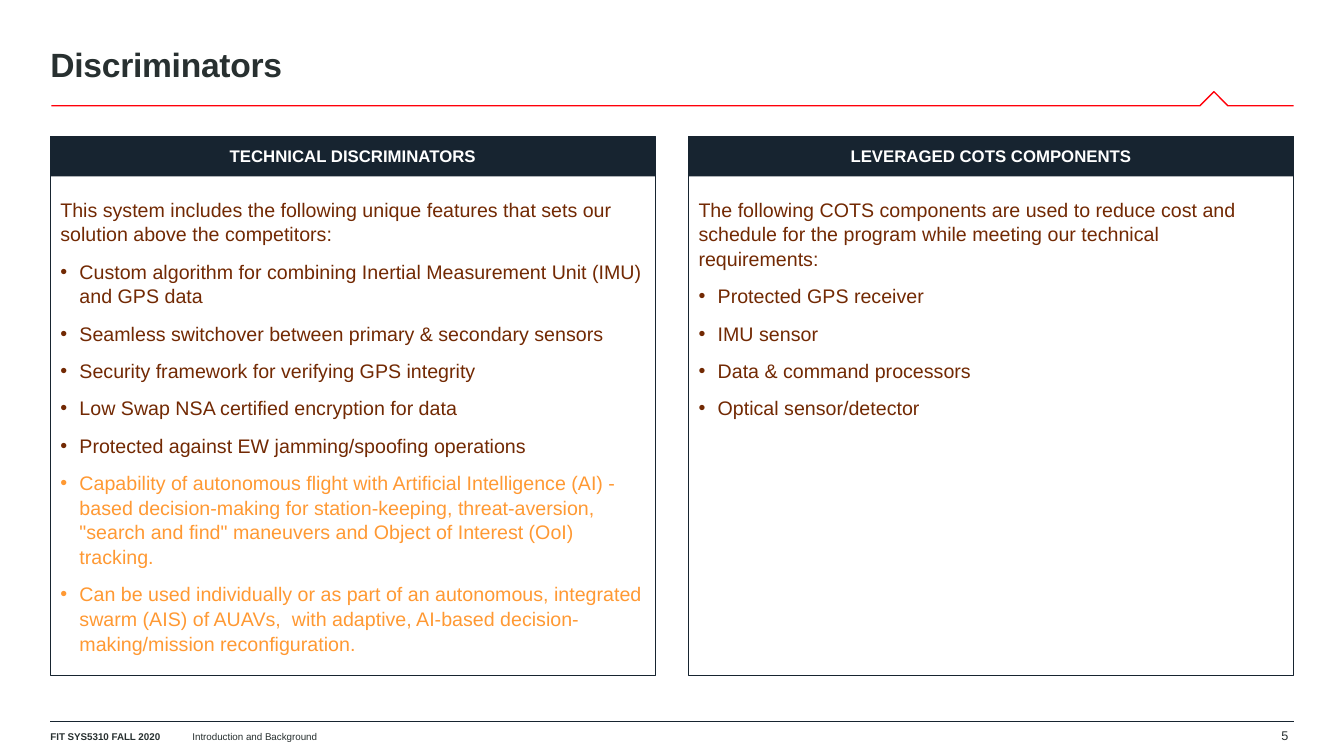
"""Build the Discriminators slide with two headed panels."""
from dataclasses import dataclass

from lxml import etree
from pptx import Presentation
from pptx.dml.color import RGBColor
from pptx.enum.shapes import MSO_CONNECTOR, MSO_SHAPE
from pptx.enum.text import MSO_ANCHOR, PP_ALIGN
from pptx.oxml.ns import qn
from pptx.util import Inches, Pt

NAVY = RGBColor(0x17, 0x24, 0x30)
CHARCOAL = RGBColor(0x28, 0x30, 0x30)
RED = RGBColor(0xFF, 0x00, 0x0A)
BROWN = RGBColor(0x72, 0x29, 0x03)
ORANGE = RGBColor(0xFF, 0x99, 0x33)
WHITE = RGBColor(0xFF, 0xFF, 0xFF)

RECTANGLE = MSO_SHAPE.RECTANGLE
STRAIGHT = MSO_CONNECTOR.STRAIGHT
TOP, MIDDLE = MSO_ANCHOR.TOP, MSO_ANCHOR.MIDDLE
LEFT, CENTER = PP_ALIGN.LEFT, PP_ALIGN.CENTER

FONT = "Arial"
MARGIN, RIGHT_EDGE = 0.5, 12.83
PANEL_TOP, PANEL_WIDTH, PANEL_HEIGHT, HEADER_HEIGHT = 1.35, 6, 5.35, 0.4
RULE_POINTS = [(12.83, 1.05), (12.18, 1.05), (12.04, 0.91), (11.9, 1.05), (0.51, 1.05)]


@dataclass(frozen=True)
class Panel:
    left: float
    heading: str
    intro: str
    bullets: tuple[str, ...]
    highlights: tuple[str, ...] = ()


@dataclass(frozen=True)
class Label:
    text: str
    left: float
    top: float
    width: float
    height: float
    size: float
    bold: bool = False
    insets: tuple[float, float] = (0.1, 0.05)
    anchor: MSO_ANCHOR = MIDDLE


PANELS = (
    Panel(
        MARGIN,
        "TECHNICAL DISCRIMINATORS",
        "This system includes the following unique features that sets our solution above the competitors:",
        (
            "Custom algorithm for combining Inertial Measurement Unit (IMU) and GPS data",
            "Seamless switchover between primary & secondary sensors",
            "Security framework for verifying GPS integrity",
            "Low Swap NSA certified encryption for data",
            "Protected against EW jamming/spoofing operations",
        ),
        (
            "Capability of autonomous flight with Artificial Intelligence (AI) - based decision-making "
            "for station-keeping, threat-aversion, \"search and find\" maneuvers and Object of Interest "
            "(OoI) tracking.",
            "Can be used individually or as part of an autonomous, integrated swarm (AIS) of AUAVs,  with "
            "adaptive, AI-based decision-making/mission reconfiguration.",
        ),
    ),
    Panel(
        RIGHT_EDGE - PANEL_WIDTH,
        "LEVERAGED COTS COMPONENTS",
        "The following COTS components are used to reduce cost and schedule for the program while "
        "meeting our technical requirements:",
        (
            "Protected GPS receiver",
            "IMU sensor",
            "Data & command processors",
            "Optical sensor/detector",
        ),
    ),
)

LABELS = (
    Label("FIT SYS5310 FALL 2020", MARGIN, 7.25, 1.25, 0.15, 7, True, (0, 0), TOP),
    Label("5", 12.61, 7.15, 0.33, 0.29, 9),
    Label("Introduction and Background", 1.81, 7.2, 4.09, 0.22, 7),
)


def format_paragraph(paragraph, size: float, color: RGBColor, bold: bool = False, alignment=LEFT) -> None:
    """Apply alignment and the font to every run of a paragraph."""
    paragraph.alignment = alignment
    for run in paragraph.runs:
        run.font.name = FONT
        run.font.size = Pt(size)
        run.font.bold = bold
        run.font.color.rgb = color


def set_frame(text_frame, horizontal: float, top: float, bottom: float, anchor) -> None:
    """Set wrapping, insets and vertical anchor of a text frame."""
    text_frame.word_wrap = True
    text_frame.margin_left = text_frame.margin_right = Inches(horizontal)
    text_frame.margin_top, text_frame.margin_bottom = Inches(top), Inches(bottom)
    text_frame.vertical_anchor = anchor


def add_bullet(paragraph) -> None:
    """Give a paragraph a hanging round bullet."""
    properties = paragraph._p.get_or_add_pPr()
    properties.set("marL", str(Inches(0.19)))
    properties.set("indent", str(Inches(-0.19)))
    etree.SubElement(properties, qn("a:buFont")).set("typeface", FONT)
    etree.SubElement(properties, qn("a:buChar")).set("char", "•")


def add_rectangle(slide, left: float, height: float):
    """Add a plain rectangle at the top of a panel."""
    shape = slide.shapes.add_shape(
        RECTANGLE, Inches(left), Inches(PANEL_TOP), Inches(PANEL_WIDTH), Inches(height))
    shape.shadow.inherit = False
    return shape


def add_panel(slide, panel: Panel) -> None:
    """Add an outlined panel with its text and heading bar."""
    body = add_rectangle(slide, panel.left, PANEL_HEIGHT)
    body.fill.background()
    body.line.color.rgb = NAVY
    body.line.width = Pt(0.25)
    text_frame = body.text_frame
    set_frame(text_frame, 0.1, 0.6, 0.3, TOP)
    text_frame.text = "\n".join((panel.intro, *panel.bullets, *panel.highlights))
    for index, paragraph in enumerate(text_frame.paragraphs):
        color = ORANGE if index > len(panel.bullets) else BROWN
        format_paragraph(paragraph, 14, color)
        paragraph.space_before = Pt(9)
        paragraph.line_spacing = 1.05
        if index:
            add_bullet(paragraph)

    header = add_rectangle(slide, panel.left, HEADER_HEIGHT)
    header.fill.solid()
    header.fill.fore_color.rgb = NAVY
    header.line.fill.background()
    set_frame(header.text_frame, 0.1, 0.1, 0.1, MIDDLE)
    header.text_frame.text = panel.heading
    format_paragraph(header.text_frame.paragraphs[0], 12, WHITE, True, CENTER)


def add_label(slide, label: Label) -> None:
    """Add one footer text box."""
    box = slide.shapes.add_textbox(
        Inches(label.left), Inches(label.top), Inches(label.width), Inches(label.height))
    horizontal, vertical = label.insets
    set_frame(box.text_frame, horizontal, vertical, vertical, label.anchor)
    box.text_frame.text = label.text
    format_paragraph(box.text_frame.paragraphs[0], label.size, CHARCOAL, label.bold)


def add_title(slide, text: str) -> None:
    """Place and format the title placeholder."""
    title = slide.shapes.title
    title.left, title.top = Inches(MARGIN), Inches(0.32)
    title.width, title.height = Inches(10), Inches(0.7)
    set_frame(title.text_frame, 0, 0, 0, MIDDLE)
    title.text_frame.text = text
    paragraph = title.text_frame.paragraphs[0]
    format_paragraph(paragraph, 24, CHARCOAL, True)
    paragraph.line_spacing = 0.85
    paragraph.runs[0].font._element.set("spc", "-20")


def add_rules(slide) -> None:
    """Draw the peaked title rule and the footer rule."""
    points = [(Inches(x), Inches(y)) for x, y in RULE_POINTS]
    builder = slide.shapes.build_freeform(*points[0])
    builder.add_line_segments(points[1:], close=False)
    title_rule = builder.convert_to_shape()
    title_rule.shadow.inherit = False
    title_rule.fill.background()
    title_rule.line.color.rgb = RED
    title_rule.line.width = Pt(1)

    footer_rule = slide.shapes.add_connector(
        STRAIGHT, Inches(MARGIN), Inches(7.15), Inches(RIGHT_EDGE), Inches(7.15))
    footer_rule.line.color.rgb = NAVY
    footer_rule.line.width = Pt(0.25)
    etree.SubElement(footer_rule._element.spPr, qn("a:effectLst"))


def main() -> None:
    """Assemble and save the presentation."""
    presentation = Presentation()
    presentation.slide_width, presentation.slide_height = Inches(13.33), Inches(7.5)
    slide = presentation.slides.add_slide(presentation.slide_layouts[5])
    add_title(slide, "Discriminators")
    add_rules(slide)
    for label in LABELS:
        add_label(slide, label)
    for panel in PANELS:
        add_panel(slide, panel)
    presentation.save("out.pptx")


if __name__ == "__main__":
    main()
